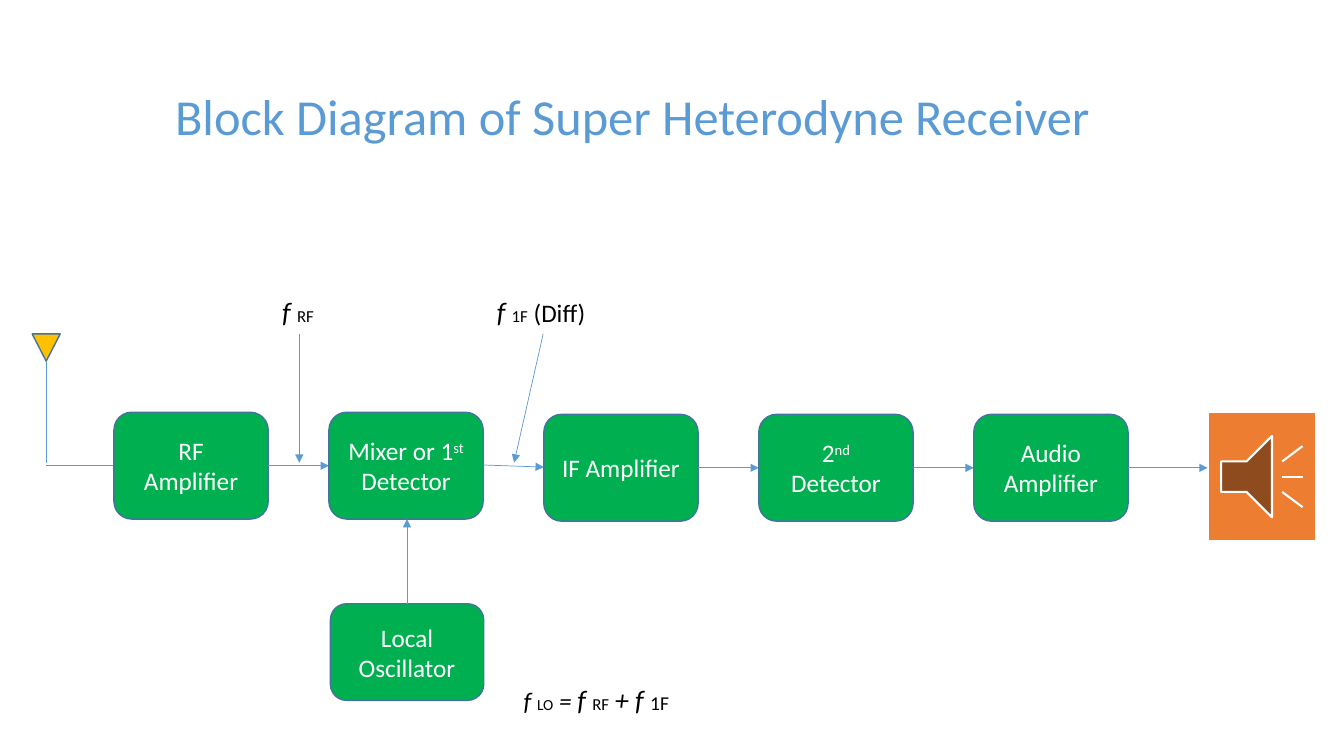
from dataclasses import dataclass

from lxml.etree import SubElement
from pptx import Presentation
from pptx.dml.color import RGBColor
from pptx.enum.shapes import MSO_CONNECTOR, MSO_SHAPE
from pptx.enum.text import MSO_ANCHOR, MSO_AUTO_SIZE, PP_ALIGN
from pptx.oxml.ns import qn
from pptx.util import Pt


@dataclass(frozen=True)
class Theme:
    font: str = "Calibri"
    accent: str = "5B9BD5"
    outline: str = "43739E"
    stage: str = "00B050"
    antenna: str = "FFC000"
    speaker: str = "ED7D31"
    light: str = "FFFFFF"
    dark: str = "000000"
    title: int = 36
    symbol: int = 20
    body: int = 18
    note: int = 14
    subscript: int = 12
    small: int = 11


THEME = Theme()


def write_text(frame, paragraphs, size=THEME.body, color=THEME.dark,
               align=PP_ALIGN.LEFT, anchor=MSO_ANCHOR.TOP, wrap=True):
    frame.word_wrap = wrap
    frame.vertical_anchor = anchor
    for index, pieces in enumerate(paragraphs):
        paragraph = frame.paragraphs[0] if index == 0 else frame.add_paragraph()
        paragraph.alignment = align
        for wording, style in pieces:
            run = paragraph.add_run()
            run.text = wording
            run.font.name = THEME.font
            run.font.size = Pt(style.get("size", size))
            run.font.italic = style.get("italic", False)
            run.font.color.rgb = RGBColor.from_string(color)
            if style.get("raised"):
                run.font._element.set("baseline", "30000")


def add_label(slide, box, pieces, **text_format):
    label = slide.shapes.add_textbox(*map(Pt, box))
    write_text(label.text_frame, [pieces], **text_format)
    label.text_frame.auto_size = MSO_AUTO_SIZE.SHAPE_TO_FIT_TEXT


def add_symbol(slide, preset, box, fill, outline=THEME.outline, weight=1):
    symbol = slide.shapes.add_shape(preset, *map(Pt, box))
    symbol.shadow.inherit = False
    symbol.fill.solid()
    symbol.fill.fore_color.rgb = RGBColor.from_string(fill)
    symbol.line.color.rgb = RGBColor.from_string(outline)
    symbol.line.width = Pt(weight)
    return symbol


def add_stage(slide, box, paragraphs):
    stage = add_symbol(slide, MSO_SHAPE.ROUNDED_RECTANGLE, box, THEME.stage)
    write_text(stage.text_frame, paragraphs, color=THEME.light,
               align=PP_ALIGN.CENTER, anchor=MSO_ANCHOR.MIDDLE)


def add_wire(slide, start, end, arrow=True):
    wire = slide.shapes.add_connector(MSO_CONNECTOR.STRAIGHT, *map(Pt, start + end))
    wire.line.color.rgb = RGBColor.from_string(THEME.accent)
    wire.line.width = Pt(0.5)
    if arrow:
        SubElement(wire.line._get_or_add_ln(), qn("a:tailEnd")).set("type", "triangle")
    SubElement(wire._element.spPr, qn("a:effectLst"))


def add_title(slide, box):
    add_label(slide, box, [("Block Diagram of Super Heterodyne Receiver", {})],
              size=THEME.title, color=THEME.accent, wrap=False)


def add_antenna(slide, box):
    left, top, width, height = box
    center, bottom = left + 10, top + height
    crown = add_symbol(slide, MSO_SHAPE.ISOSCELES_TRIANGLE, (left, top, 20, 19.5),
                       THEME.antenna)
    crown.rotation = 180
    add_wire(slide, (center, top + 19.5), (center, bottom - 2), arrow=False)
    add_wire(slide, (center, bottom), (left + width, bottom), arrow=False)


def add_receiver_chain(slide, box):
    left, top, width, height = box
    stages = [
        (0, [[("RF Amplifier", {})]]),
        (0, [[("Mixer or 1", {}), ("st", {"raised": True})], [("Detector", {})]]),
        (1.5, [[("IF Amplifier", {})]]),
        (1.5, [[("2", {}), ("nd", {"raised": True})], [("Detector", {})]]),
        (1.5, [[("Audio", {})], [("Amplifier", {})]]),
    ]
    stage_width = 110.2
    pitch = (width - stage_width) / (len(stages) - 1)
    for index, (drop, wording) in enumerate(stages):
        stage_left = left + index * pitch
        add_stage(slide, (stage_left, top + drop, stage_width, height), wording)
        if index < len(stages) - 1:
            middle = top + drop + height / 2
            start_y, end_y = (middle - 0.5, middle + 1) if index == 1 else (middle, middle)
            add_wire(slide, (stage_left + stage_width, start_y),
                     (stage_left + pitch, end_y))


def add_speaker(slide, box, wire_start):
    add_symbol(slide, MSO_SHAPE.ACTION_BUTTON_SOUND, box, THEME.speaker,
               outline=THEME.light, weight=1.5)
    add_wire(slide, wire_start, (box[0], wire_start[1]))


def add_oscillator(slide, box, mixer_bottom):
    left, top, width, height = box
    center = left + width / 2
    add_stage(slide, box, [[("Local Oscillator", {})]])
    add_wire(slide, (center, top), (center, mixer_bottom))
    italic = {"italic": True}
    symbol = {"italic": True, "size": THEME.symbol}
    add_label(slide, (left + 131, top + 52.5, 175.5, 31.5), [
        ("f ", italic), ("LO", {"size": THEME.small}), (" = ", italic),
        ("f ", symbol), ("RF", {"size": THEME.subscript}), (" ", italic),
        ("+ f ", symbol), ("1F", {"size": THEME.note}),
    ])


def add_frequency(slide, box, pieces, pointer_x, target):
    left, top, width, height = box
    symbol = ("f ", {"italic": True, "size": THEME.symbol})
    add_label(slide, box, [symbol] + pieces, wrap=False)
    add_wire(slide, (pointer_x, top + height), target)


def build_block_diagram(slide):
    add_title(slide, (118, 57, 674, 51))
    add_antenna(slide, (23, 238.5, 60.5, 94))
    add_receiver_chain(slide, (81.4, 294.5, 724.4, 76.3))
    add_speaker(slide, (862.6, 294.5, 77.5, 92), (805.8, 334.2))
    add_oscillator(slide, (236, 431.3, 109.5, 69), 370.8)
    subscript = {"size": THEME.subscript}
    add_frequency(slide, (194.5, 207, 38, 31.5), [("RF", subscript)],
                  213.8, (213.8, 330.5))
    add_frequency(slide, (347.8, 207, 80, 31.5), [("1F", subscript), (" (Diff)", {})],
                  388, (367.2, 330.5))


def main():
    presentation = Presentation()
    presentation.slide_width = Pt(960)
    presentation.slide_height = Pt(540)
    build_block_diagram(presentation.slides.add_slide(presentation.slide_layouts[6]))
    presentation.save("out.pptx")


if __name__ == "__main__":
    main()
